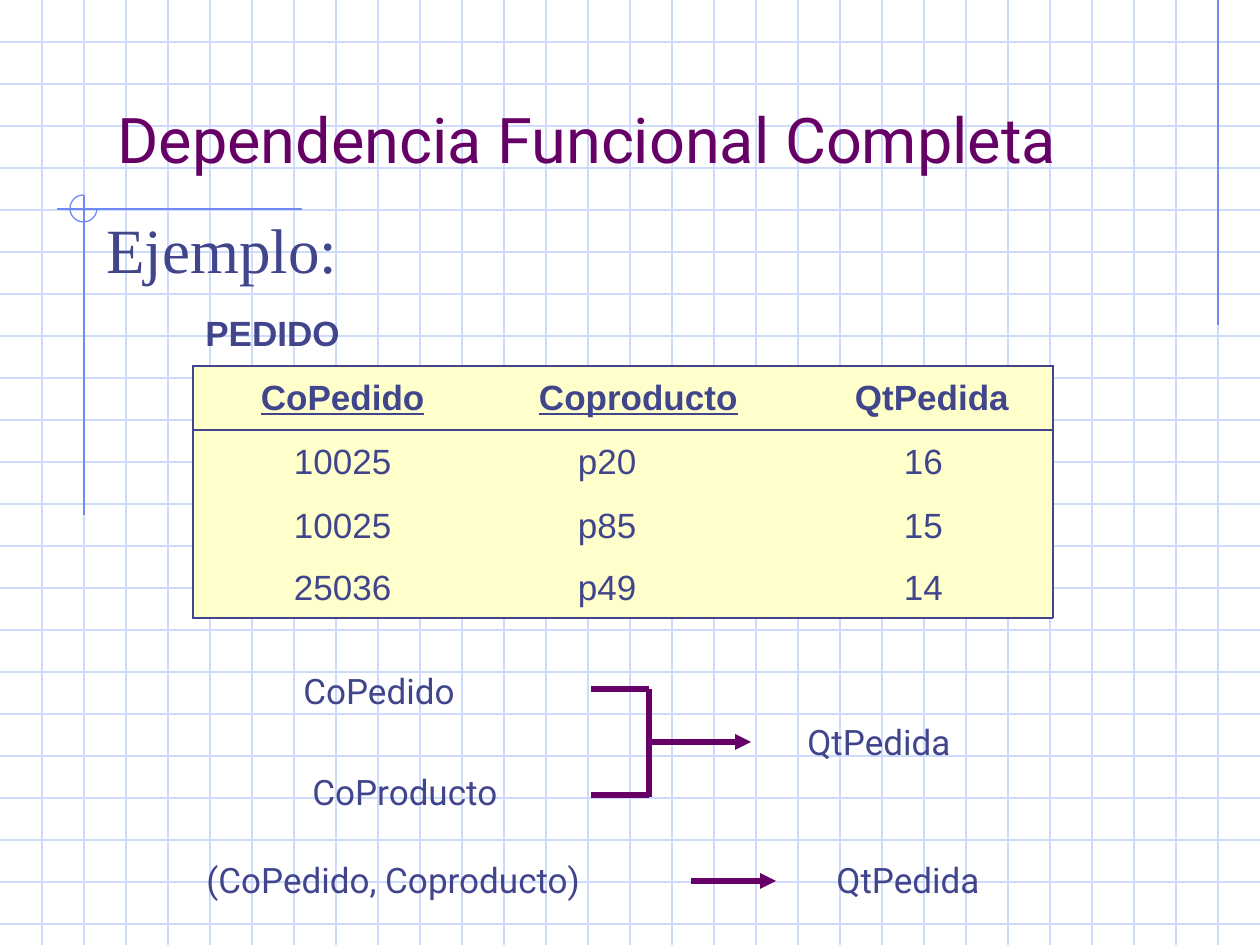
from lxml import etree
from pptx import Presentation, util as u
from pptx.dml.color import RGBColor
from pptx.enum import shapes, text
from pptx.oxml.ns import qn

WIDTH, HEIGHT, GRID_STEP = 1260, 945, 42
PX_PER_INCH = 126

GRID_BLUE = RGBColor(0xCF, 0xDB, 0xFD)
ACCENT_BLUE = RGBColor(0x6F, 0x89, 0xF7)
PURPLE = RGBColor(0x66, 0x00, 0x66)
INDIGO = RGBColor(0x40, 0x45, 0x8C)
CREAM = RGBColor(0xFF, 0xFF, 0xCC)

ORDERS = [
    ("CoPedido", "Coproducto", "QtPedida"),
    ("10025", "p20", "16"),
    ("10025", "p85", "15"),
    ("25036", "p49", "14"),
]
KEY_COLUMNS = (0, 1)
COLUMN_WIDTHS = (299, 350, 211)
ROW_HEIGHTS = (64, 64, 64, 60)
HEADER_MARGINS = (13, 47, 13)
VALUE_MARGINS = (13, 86, 62)


def px(value):
    return u.Emu(round(value * 914400 / PX_PER_INCH))


def add_line(slide, x1, y1, x2, y2, color, width=0.75, arrow=False):
    line = slide.shapes.add_connector(
        shapes.MSO_CONNECTOR.STRAIGHT, px(x1), px(y1), px(x2), px(y2))
    line.line.color.rgb = color
    line.line.width = u.Pt(width)
    properties = line._element.spPr
    if arrow:
        etree.SubElement(properties.find(qn("a:ln")), qn("a:tailEnd"), type="triangle")
    etree.SubElement(properties, qn("a:effectLst"))


def set_font(paragraph, name, size, color, bold=False, underline=False):
    font = paragraph.font
    font.name, font.size = name, u.Pt(size)
    font.color.rgb = color
    font.bold, font.underline = bold, underline


def add_text(slide, x, y, width, height, content, name="Roboto", size=20,
             color=INDIGO, bold=False, anchor=text.MSO_ANCHOR.MIDDLE):
    box = slide.shapes.add_textbox(px(x), px(y), px(width), px(height))
    frame = box.text_frame
    frame.word_wrap = True
    frame.vertical_anchor = anchor
    frame.text = content
    set_font(frame.paragraphs[0], name, size, color, bold)


def add_borders(cell, visible_sides):
    properties = cell._tc.get_or_add_tcPr()
    for index, side in enumerate("LRTB"):
        border = etree.Element(qn(f"a:ln{side}"), w=str(u.Pt(0.75)))
        if side in visible_sides:
            fill = etree.SubElement(border, qn("a:solidFill"))
            etree.SubElement(fill, qn("a:srgbClr"), val=str(INDIGO))
        else:
            etree.SubElement(border, qn("a:noFill"))
        properties.insert(index, border)


def add_grid(slide):
    for y in range(GRID_STEP, HEIGHT, GRID_STEP):
        add_line(slide, 0, y, WIDTH, y, GRID_BLUE)
    for x in range(GRID_STEP, WIDTH, GRID_STEP):
        add_line(slide, x, 0, x, HEIGHT, GRID_BLUE)


def add_ornament(slide):
    add_line(slide, 1218, 0, 1218, 325, ACCENT_BLUE)
    add_line(slide, 302, 209, 57, 209, ACCENT_BLUE)
    add_line(slide, 84, 195, 84, 515, ACCENT_BLUE)
    arc = slide.shapes.add_shape(shapes.MSO_SHAPE.ARC, px(70), px(195), px(27), px(27))
    arc.shadow.inherit = False
    arc.fill.background()
    arc.line.color.rgb = ACCENT_BLUE
    arc.line.width = u.Pt(0.75)
    # Three quarters of a turn; one degree is 0.6 adjustment units
    arc.adjustments[0] = 0
    arc.adjustments[1] = 270 * 0.6


def add_orders_table(slide):
    rows, columns = len(ORDERS), len(COLUMN_WIDTHS)
    table = slide.shapes.add_table(
        rows, columns, px(193), px(366),
        px(sum(COLUMN_WIDTHS)), px(sum(ROW_HEIGHTS))).table
    table.first_row = table.horz_banding = False
    for column, width in zip(table.columns, COLUMN_WIDTHS):
        column.width = px(width)
    for row, height in zip(table.rows, ROW_HEIGHTS):
        row.height = px(height)

    for r, values in enumerate(ORDERS):
        header = r == 0
        margins = HEADER_MARGINS if header else VALUE_MARGINS
        for c, value in enumerate(values):
            cell = table.cell(r, c)
            cell.text = value
            cell.fill.solid()
            cell.fill.fore_color.rgb = CREAM
            cell.vertical_anchor = text.MSO_ANCHOR.MIDDLE
            cell.margin_left = px(margins[c])
            paragraph = cell.text_frame.paragraphs[0]
            paragraph.alignment = text.PP_ALIGN.CENTER if c == 0 else text.PP_ALIGN.LEFT
            set_font(paragraph, "Arial", 20, INDIGO, header, header and c in KEY_COLUMNS)
            edges = {"L": c == 0, "R": c == columns - 1,
                     "T": r <= 1, "B": header or r == rows - 1}
            add_borders(cell, [side for side, shown in edges.items() if shown])


def add_dependencies(slide):
    # Both attributes joined by a bracket
    add_text(slide, 291, 662, 280, 56, "CoPedido")
    add_text(slide, 300, 763, 280, 56, "CoProducto")
    add_text(slide, 795, 713, 180, 56, "QtPedida")
    add_line(slide, 649, 742, 751, 742, PURPLE, 3, arrow=True)
    for y in (689, 795):
        add_line(slide, 591, y, 649, y, PURPLE, 3)
    add_line(slide, 649, 689, 649, 797, PURPLE, 3)

    # The same dependency as a pair
    add_text(slide, 194, 851, 440, 56, "(CoPedido, Coproducto)")
    add_text(slide, 824, 851, 180, 56, "QtPedida")
    add_line(slide, 691, 881, 776, 881, PURPLE, 3, arrow=True)


def main():
    presentation = Presentation()
    presentation.slide_width, presentation.slide_height = px(WIDTH), px(HEIGHT)
    slide = presentation.slides.add_slide(presentation.slide_layouts[6])

    # Squared paper and corner ornament
    add_grid(slide)
    add_ornament(slide)

    # Headings
    add_text(slide, 105, 76, 1111, 106, "Dependencia Funcional Completa",
             size=36, color=PURPLE, anchor=text.MSO_ANCHOR.BOTTOM)
    add_text(slide, 94, 204, 922, 73, "Ejemplo:", name="Times New Roman",
             size=36, anchor=text.MSO_ANCHOR.TOP)
    add_text(slide, 193, 304, 580, 56, "PEDIDO", name="Arial", bold=True)

    # Table and its dependencies
    add_orders_table(slide)
    add_dependencies(slide)

    presentation.save("out.pptx")


if __name__ == "__main__":
    main()
